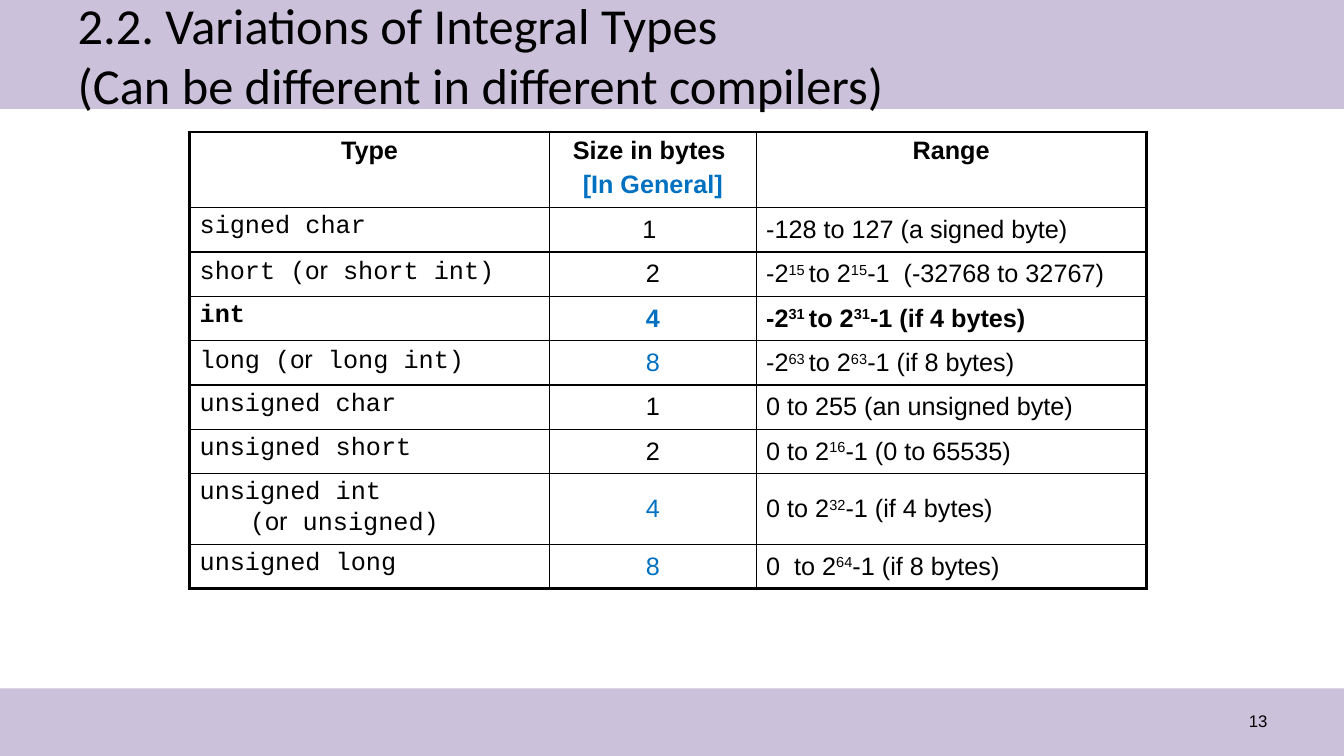
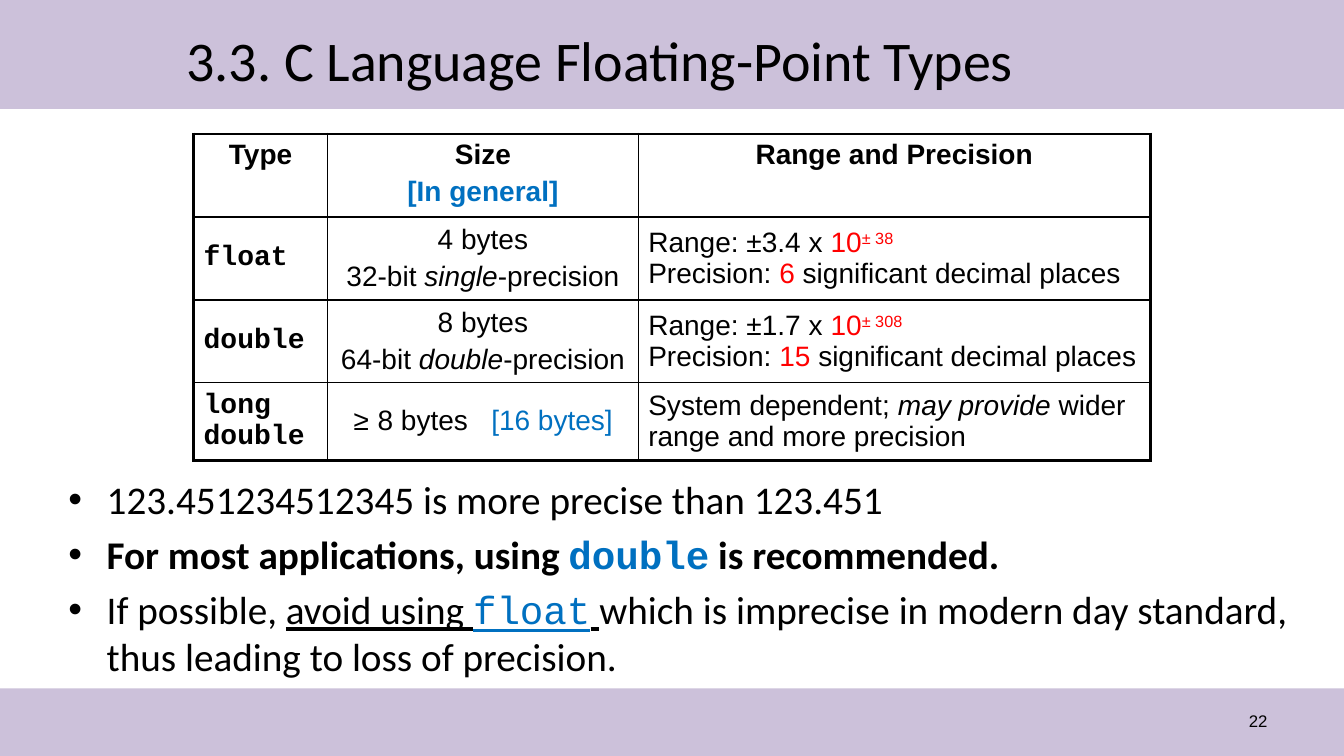
from dataclasses import dataclass

from lxml import etree
from pptx import Presentation
from pptx.dml.color import RGBColor
from pptx.enum import shapes, text
from pptx.oxml import ns
from pptx.util import Inches, Pt


@dataclass(frozen=True)
class Theme:
    band: str = "CCC1DA"
    ink: str = "000000"
    blue: str = "0070C0"
    red: str = "FF0000"
    heading_face: str = "Calibri"
    table_face: str = "Arial"
    code_face: str = "Courier New"
    body_size: int = 28
    number_size: int = 12
    paragraph_gap: float = 0.2
    outer_line: float = 2.25
    inner_line: float = 1


THEME = Theme()
LEFT, CENTER, RIGHT = text.PP_ALIGN.LEFT, text.PP_ALIGN.CENTER, text.PP_ALIGN.RIGHT
TOP, MIDDLE = text.MSO_ANCHOR.TOP, text.MSO_ANCHOR.MIDDLE


@dataclass(frozen=True)
class Column:
    width: float
    style: str = ""
    align: int = LEFT
    anchor: int = MIDDLE


def box(left, top, width, height):
    return Inches(left), Inches(top), Inches(width), Inches(height)


class Deck:
    """Holds the presentation, its style and the current slide.

    Text is a list of paragraphs; a paragraph is a list of runs; a run is a
    string or a (string, style words) pair.
    """

    def __init__(self, theme):
        self.theme = theme
        self.presentation = Presentation()
        self.presentation.slide_width = Inches(13.33)
        self.presentation.slide_height = Inches(7.5)
        self.slide = None

    # Text
    def style_run(self, run, face, size, style):
        theme, words, font = self.theme, style.split(), run.font
        faces = {"mono": theme.code_face, "sans": theme.table_face}
        colors = {"blue": theme.blue, "red": theme.red}
        color = theme.ink
        for word in words:
            face = faces.get(word, face)
            color = colors.get(word, color)
        font.name, font.size = face, Pt(size)
        font.color.rgb = RGBColor.from_string(color)
        font.bold = "bold" in words
        font.italic = "italic" in words
        font.underline = "under" in words
        # Raised digits and widened spaces
        attributes = {"super": ("baseline", "30000"), "gap": ("spc", "500"),
                      "wide": ("spc", "1100")}
        for word in attributes.keys() & set(words):
            run._r.get_or_add_rPr().set(*attributes[word])

    def fill_text(self, frame, paragraphs, face, size, style="", align=LEFT, bullet=False):
        for index, runs in enumerate(paragraphs):
            paragraph = frame.add_paragraph() if index else frame.paragraphs[0]
            if bullet:
                self.add_bullet(paragraph)
            paragraph.alignment = align
            paragraph.space_before = Pt(size * self.theme.paragraph_gap if index else 0)
            for item in runs:
                words, own = (item, "") if isinstance(item, str) else item
                for line, part in enumerate(words.split("\n")):
                    if line:
                        paragraph.add_line_break()
                    if part:
                        run = paragraph.add_run()
                        run.text = part
                        self.style_run(run, face, size, f"{style} {own}")

    def add_bullet(self, paragraph):
        properties = paragraph._p.get_or_add_pPr()
        indent = Inches(0.38)
        properties.set("marL", str(indent))
        properties.set("indent", str(-indent))
        etree.SubElement(properties, ns.qn("a:buFont"), typeface="Arial")
        etree.SubElement(properties, ns.qn("a:buChar"), char="•")

    def add_text(self, place, paragraphs, face, size, anchor=TOP, **options):
        frame = self.slide.shapes.add_textbox(*box(*place)).text_frame
        frame.word_wrap = True
        frame.vertical_anchor = anchor
        self.fill_text(frame, paragraphs, face, size, **options)

    # Slide frame: bands, title and number
    def add_band(self, top, height):
        band = self.slide.shapes.add_shape(
            shapes.MSO_SHAPE.RECTANGLE, 0, Inches(top),
            self.presentation.slide_width, Inches(height))
        band.shadow.inherit = False
        band.fill.solid()
        band.fill.fore_color.rgb = RGBColor.from_string(self.theme.band)
        band.line.fill.background()
        self.slide.shapes._spTree.insert(2, band._element)

    def add_slide(self, number, title, place, size):
        layout = self.presentation.slide_layouts.get_by_name("Title Only")
        self.slide = self.presentation.slides.add_slide(layout)
        self.add_band(0, 1.08)
        self.add_band(6.83, 0.67)
        heading = self.slide.shapes.title
        heading.left, heading.top, heading.width, heading.height = box(*place)
        frame = heading.text_frame
        frame.word_wrap = True
        frame.auto_size = text.MSO_AUTO_SIZE.NONE
        frame.vertical_anchor = MIDDLE
        self.fill_text(frame, [[title]], self.theme.heading_face, size)
        self.add_text((9.56, 6.95, 3.11, 0.4), [[str(number)]], self.theme.table_face,
                      self.theme.number_size, anchor=MIDDLE, align=RIGHT)

    def add_bullets(self, place, paragraphs):
        self.add_text(place, paragraphs, self.theme.heading_face,
                      self.theme.body_size, bullet=True)

    # Tables
    def set_borders(self, cell, outer_sides):
        properties = cell._tc.get_or_add_tcPr()
        for side in "LRTB":
            width = self.theme.outer_line if side in outer_sides else self.theme.inner_line
            line = etree.SubElement(properties, ns.qn(f"a:ln{side}"), w=str(Pt(width)))
            fill = etree.SubElement(line, ns.qn("a:solidFill"))
            etree.SubElement(fill, ns.qn("a:srgbClr"), val=self.theme.ink)

    def add_table(self, left, top, size, columns, heights, header, rows):
        width = sum(column.width for column in columns)
        table = self.slide.shapes.add_table(
            len(heights), len(columns), *box(left, top, width, sum(heights))).table
        table.first_row = table.horz_banding = False
        for index, column in enumerate(columns):
            table.columns[index].width = Inches(column.width)
        last_row, last_column = len(heights) - 1, len(columns) - 1
        for row, (height, cells) in enumerate(zip(heights, [header, *rows])):
            table.rows[row].height = Inches(height)
            for index, paragraphs in enumerate(cells):
                column = columns[index] if row else Column(0, "bold", CENTER, TOP)
                cell = table.cell(row, index)
                edges = {"L": index == 0, "R": index == last_column,
                         "T": row == 0, "B": row == last_row}
                self.set_borders(cell, [side for side, outer in edges.items() if outer])
                cell.fill.background()
                cell.vertical_anchor = column.anchor
                self.fill_text(cell.text_frame, paragraphs, self.theme.table_face,
                               size, column.style, column.align)


def signed_range(power, ending, style=""):
    return [[("-2", style), (f"{power} ", f"super {style}"), ("to 2", style),
             (f"{power}", f"super {style}"), *ending]]


def unsigned_range(power, ending, start=("0 to 2",)):
    return [[*start, (f"{power}", "super"), ending]]


def precision(factor, exponent, digits):
    return [[f"Range: ±{factor} x ", ("10", "red"), (f"± {exponent} \n", "red super"),
             "Precision: ", (f"{digits}", "red"), " significant decimal places"]]


def float_size(size, bits, name):
    return [[f"{size} bytes"], [f"{bits}-bit ", (name, "italic"), "-precision"]]


def add_integral_types(deck):
    deck.add_slide(13, "2.2. Variations of Integral Types\n"
                   "(Can be different in different compilers)", (0.67, 0.08, 12, 0.92), 36)
    alias = ("or", "sans")
    one, two = [["1"]], [["2"]]
    four, eight = [[("4", "blue")]], [[("8", "blue")]]
    deck.add_table(
        1.88, 1.31, 18,
        [Column(3.57, "mono", anchor=TOP), Column(2.05, align=CENTER), Column(3.87)],
        [0.69] + [0.44] * 6 + [0.69, 0.44],
        [[["Type"]], [["Size in bytes "], [("[In General]", "blue")]], [["Range"]]],
        [
            [[["signed char"]], [["1 "]], [["-128 to 127 (a signed byte)"]]],
            [[["short (", alias, " short int)"]], two,
             signed_range(15, ["-1", (" ", "gap"), "(-32768 to 32767)"])],
            [[[("int", "bold")]], [[("4", "blue bold")]],
             signed_range(31, [("-1 (if 4 bytes)", "bold")], "bold")],
            [[["long (", alias, " long int)"]], eight,
             signed_range(63, ["-1 (if 8 bytes)"])],
            [[["unsigned char"]], one, [["0 to 255 (an unsigned byte)"]]],
            [[["unsigned short"]], two, unsigned_range(16, "-1 (0 to 65535)")],
            [[["unsigned int\n\t(", alias, " unsigned)"]], four,
             unsigned_range(32, "-1 (if 4 bytes)")],
            [[["unsigned long"]], eight,
             unsigned_range(64, "-1 (if 8 bytes)", ("0", (" ", "gap"), "to 2"))],
        ])


def add_floating_types(deck):
    deck.add_slide(22, "3.3. C Language Floating-Point Types", (1.75, 0.18, 9.26, 0.82), 40)
    deck.add_table(
        1.92, 1.33, 20,
        [Column(1.33, "mono bold"), Column(3.08, align=CENTER), Column(5.08)],
        [0.77, 0.78, 0.78, 0.73],
        [[["Type"]], [["Size"], [("[In general]", "blue")]], [["Range and Precision"]]],
        [
            [[["float"]], float_size(4, 32, "single"), precision(3.4, 38, 6)],
            [[["double"]], float_size(8, 64, "double"), precision(1.7, 308, 15)],
            [[["long double"]],
             [[("≥", "mono"), " 8 bytes", (" ", "wide"), ("[16 bytes]", "blue")]],
             [["System dependent; ", ("may provide", "italic"),
               " wider range and more precision"]]],
        ])
    deck.add_bullets((0.58, 4.67, 12.42, 2.28), [
        ["123.451234512345 is more precise than 123.451"],
        [("For most applications, using ", "bold"), ("double", "bold mono blue"),
         (" is recommended.", "bold")],
        ["If possible, ", ("avoid using ", "under"), ("float", "under mono blue"),
         (" ", "under"), "which is imprecise in modern day standard, "
         "thus leading to loss of precision."],
    ])


def main():
    deck = Deck(THEME)
    add_integral_types(deck)
    add_floating_types(deck)
    deck.presentation.save("out.pptx")


if __name__ == "__main__":
    main()
